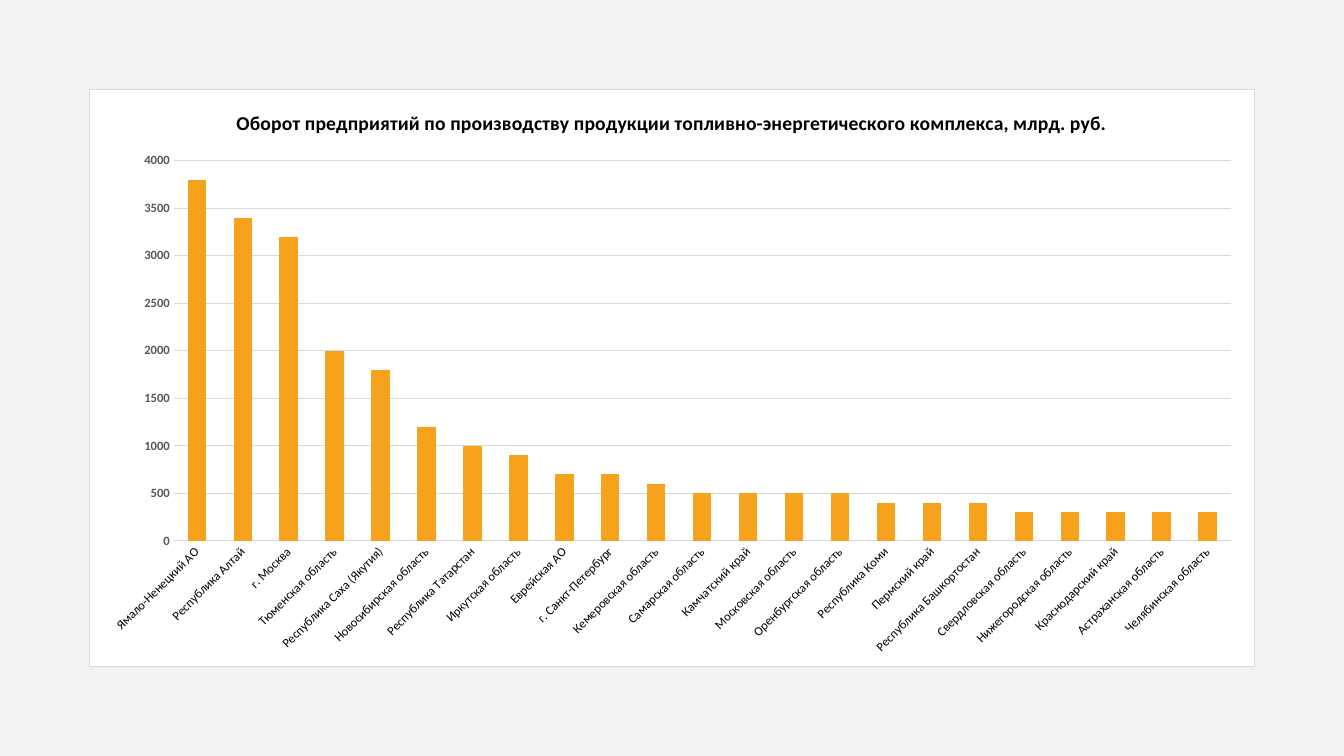
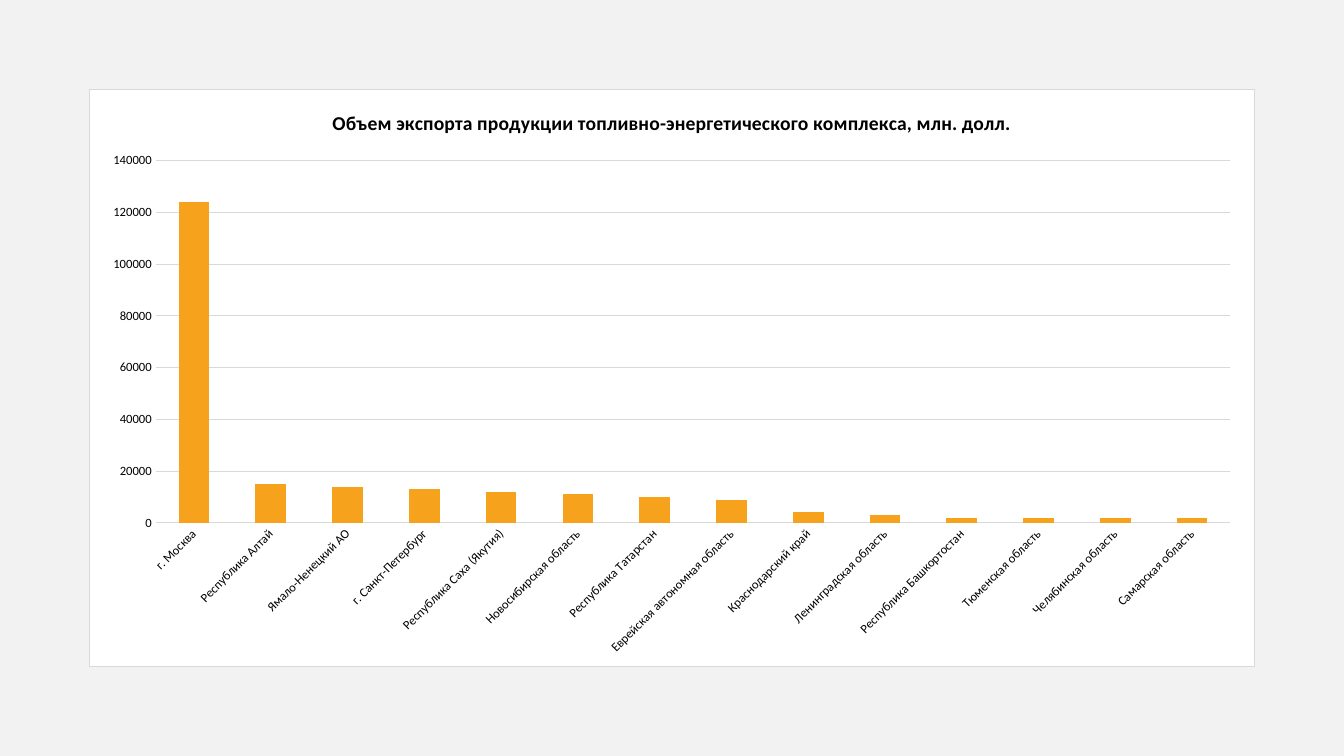
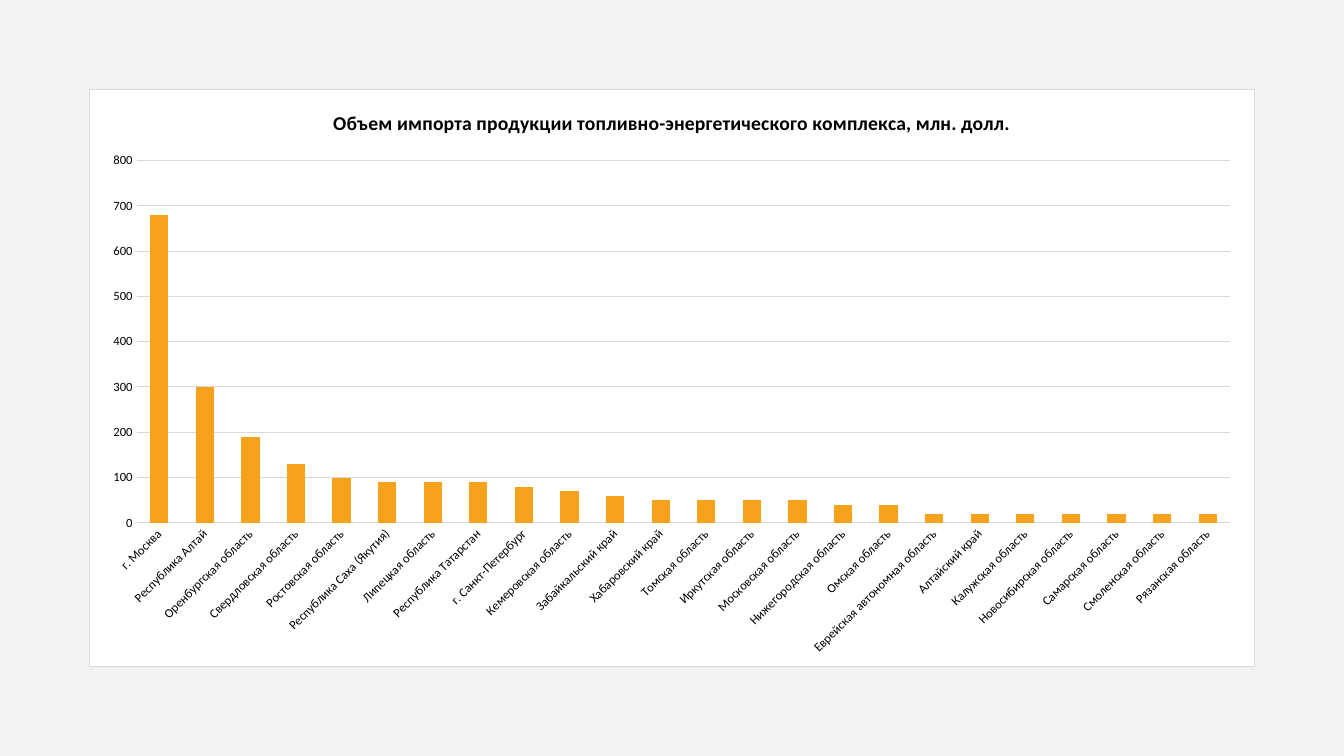
"""Build three column-chart slides on the fuel and energy industry by region."""

from dataclasses import dataclass
from typing import Any

from lxml import etree
from pptx import Presentation
from pptx import util as u
from pptx.chart.chart import Chart
from pptx.chart.data import CategoryChartData
from pptx.dml.color import RGBColor
from pptx.enum import chart as charts
from pptx.oxml.ns import nsdecls, qn


@dataclass(frozen=True)
class Theme:
    """Colours, type sizes and the chart frame shared by the deck."""

    font: str = "Calibri"
    page: str = "F2F2F2"
    panel: str = "FFFFFF"
    rule: str = "D9D9D9"
    column: str = "F6A21D"
    ink: str = "000000"
    muted: str = "595959"
    title_size: int = 14
    body_size: int = 10
    label_size: int = 9
    rule_width: float = 0.75
    gap: int = 150
    label_angle: int = -45
    left: float = 0.88
    top: float = 0.88
    width: float = 11.57
    height: float = 5.74
    plot_top: float = 1.59
    plot_right: float = 12.21


@dataclass(frozen=True)
class RegionChart:
    """Content of one chart, its value scale and the corner of its plot."""

    title: str
    regions: dict[str, int]
    maximum: int
    step: int
    plot_left: float
    plot_bottom: float
    scale_color: str = "000000"
    scale_bold: bool = False


THEME = Theme()

TURNOVER = RegionChart(
    "Оборот предприятий по производству продукции топливно-энергетического комплекса, млрд. руб.",
    {
        "Ямало-Ненецкий АО": 3800,
        "Республика Алтай": 3400,
        "г. Москва": 3200,
        "Тюменская область": 2000,
        "Республика Саха (Якутия)": 1800,
        "Новосибирская область": 1200,
        "Республика Татарстан": 1000,
        "Иркутская область": 900,
        "Еврейская АО": 700,
        "г. Санкт-Петербург": 700,
        "Кемеровская область": 600,
        "Самарская область": 500,
        "Камчатский край": 500,
        "Московская область": 500,
        "Оренбургская область": 500,
        "Республика Коми": 400,
        "Пермский край": 400,
        "Республика Башкортостан": 400,
        "Свердловская область": 300,
        "Нижегородская область": 300,
        "Краснодарский край": 300,
        "Астраханская область": 300,
        "Челябинская область": 300,
    },
    maximum=4000,
    step=500,
    plot_left=1.72,
    plot_bottom=5.37,
    scale_color=THEME.muted,
    scale_bold=True,
)

EXPORTS = RegionChart(
    "Объем экспорта продукции топливно-энергетического комплекса, млн. долл.",
    {
        "г. Москва": 124000,
        "Республика Алтай": 15000,
        "Ямало-Ненецкий АО": 14000,
        "г. Санкт-Петербург": 13000,
        "Республика Саха (Якутия)": 12000,
        "Новосибирская область": 11000,
        "Республика Татарстан": 10000,
        "Еврейская автономная область": 9000,
        "Краснодарский край": 4000,
        "Ленинградская область": 3000,
        "Республика Башкортостан": 2000,
        "Тюменская область": 2000,
        "Челябинская область": 2000,
        "Самарская область": 2000,
    },
    maximum=140000,
    step=20000,
    plot_left=1.54,
    plot_bottom=5.19,
)

IMPORTS = RegionChart(
    "Объем импорта продукции топливно-энергетического комплекса, млн. долл.",
    {
        "г. Москва": 680,
        "Республика Алтай": 300,
        "Оренбургская область": 190,
        "Свердловская область": 130,
        "Ростовская область": 100,
        "Республика Саха (Якутия)": 90,
        "Липецкая область": 90,
        "Республика Татарстан": 90,
        "г. Санкт-Петербург": 80,
        "Кемеровская область": 70,
        "Забайкальский край": 60,
        "Хабаровский край": 50,
        "Томская область": 50,
        "Иркутская область": 50,
        "Московская область": 50,
        "Нижегородская область": 40,
        "Омская область": 40,
        "Еврейская автономная область": 20,
        "Алтайский край": 20,
        "Калужская область": 20,
        "Новосибирская область": 20,
        "Самарская область": 20,
        "Смоленская область": 20,
        "Рязанская область": 20,
    },
    maximum=800,
    step=100,
    plot_left=1.35,
    plot_bottom=5.19,
)


def apply_format(target: Any, values: dict[str, Any]) -> None:
    """Set each named attribute of the target."""
    for name, value in values.items():
        setattr(target, name, value)


def style_font(font: Any, size: int, color: str = THEME.ink, bold: bool = False) -> None:
    """Give a font the theme face with a size, colour and weight."""
    apply_format(font, {"name": THEME.font, "size": u.Pt(size), "bold": bold})
    font.color.rgb = RGBColor.from_string(color)


def frame_chart(chart: Chart) -> None:
    """Fill the chart panel and outline it."""
    panel = etree.fromstring(
        f'<c:spPr {nsdecls("c", "a")}>'
        f'<a:solidFill><a:srgbClr val="{THEME.panel}"/></a:solidFill>'
        f'<a:ln w="{u.Pt(THEME.rule_width)}"><a:solidFill>'
        f'<a:srgbClr val="{THEME.rule}"/></a:solidFill></a:ln></c:spPr>'
    )
    chart._chartSpace.find(qn("c:chart")).addnext(panel)


def place_plot(chart: Chart, content: RegionChart) -> None:
    """Fix the inner plot area as fractions of the chart frame."""
    fractions = {
        "x": (content.plot_left - THEME.left) / THEME.width,
        "y": (THEME.plot_top - THEME.top) / THEME.height,
        "w": (THEME.plot_right - content.plot_left) / THEME.width,
        "h": (content.plot_bottom - THEME.plot_top) / THEME.height,
    }
    modes = '<c:xMode val="edge"/><c:yMode val="edge"/>'
    sizes = "".join(f'<c:{name} val="{value:.4f}"/>' for name, value in fractions.items())
    layout = etree.fromstring(
        f'<c:layout {nsdecls("c")}><c:manualLayout><c:layoutTarget val="inner"/>'
        f"{modes}{sizes}</c:manualLayout></c:layout>"
    )
    plot_area = chart._chartSpace.find(qn("c:chart")).find(qn("c:plotArea"))
    for automatic in plot_area.findall(qn("c:layout")):
        plot_area.remove(automatic)
    plot_area.insert(0, layout)


def style_axes(chart: Chart, content: RegionChart) -> None:
    """Style both axes, the gridlines and the slanted region labels."""
    regions, scale = chart.category_axis, chart.value_axis
    for axis in (regions, scale):
        apply_format(axis, {
            "major_tick_mark": charts.XL_TICK_MARK.NONE,
            "minor_tick_mark": charts.XL_TICK_MARK.NONE,
        })
        axis.format.line.fill.background()
    style_font(regions.tick_labels.font, THEME.label_size)
    style_font(scale.tick_labels.font, THEME.label_size, content.scale_color, content.scale_bold)
    body = regions._element.find(qn("c:txPr")).find(qn("a:bodyPr"))
    body.set("rot", str(THEME.label_angle * 60000))
    apply_format(scale, {
        "minimum_scale": 0,
        "maximum_scale": content.maximum,
        "major_unit": content.step,
        "has_major_gridlines": True,
    })
    apply_format(scale.tick_labels, {"number_format": "0", "number_format_is_linked": False})
    grid = scale.major_gridlines.format.line
    grid.color.rgb = RGBColor.from_string(THEME.rule)
    grid.width = u.Pt(THEME.rule_width)


def style_columns(chart: Chart) -> None:
    """Set the column spacing and colour."""
    plot = chart.plots[0]
    apply_format(plot, {"gap_width": THEME.gap, "vary_by_categories": False})
    fill = plot.series[0].format.fill
    fill.solid()
    fill.fore_color.rgb = RGBColor.from_string(THEME.column)


def add_title(chart: Chart, title: str) -> None:
    """Write the bold chart title."""
    chart.has_title = True
    chart.chart_title.include_in_layout = False
    paragraph = chart.chart_title.text_frame.paragraphs[0]
    span = paragraph.add_run()
    span.text = title
    style_font(span.font, THEME.title_size, bold=True)


def add_page(deck: Any, content: RegionChart) -> None:
    """Add a slide holding one region chart."""
    page = deck.slides.add_slide(deck.slide_layouts[6])
    page.background.fill.solid()
    page.background.fill.fore_color.rgb = RGBColor.from_string(THEME.page)
    data = CategoryChartData()
    data.categories = list(content.regions)
    data.add_series(content.title, list(content.regions.values()))
    bounds = map(u.Inches, (THEME.left, THEME.top, THEME.width, THEME.height))
    chart = page.shapes.add_chart(charts.XL_CHART_TYPE.COLUMN_CLUSTERED, *bounds, data).chart
    chart.has_legend = False
    style_font(chart.font, THEME.body_size)
    add_title(chart, content.title)
    style_axes(chart, content)
    style_columns(chart)
    place_plot(chart, content)
    frame_chart(chart)


def main() -> None:
    """Build the deck and save it."""
    deck = Presentation()
    apply_format(deck, {"slide_width": u.Inches(13.33), "slide_height": u.Inches(7.5)})
    for content in (TURNOVER, EXPORTS, IMPORTS):
        add_page(deck, content)
    deck.save("out.pptx")


main()
